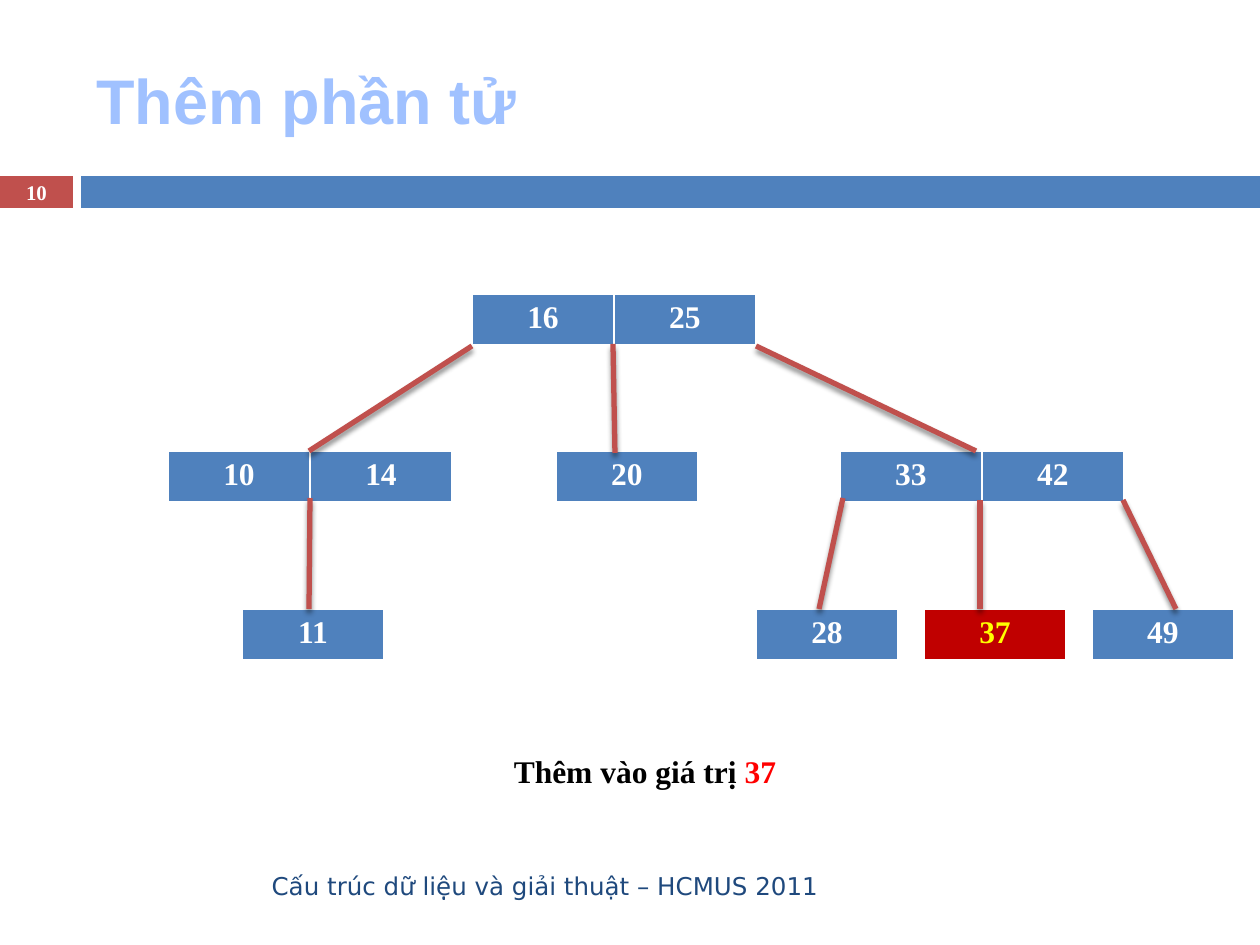
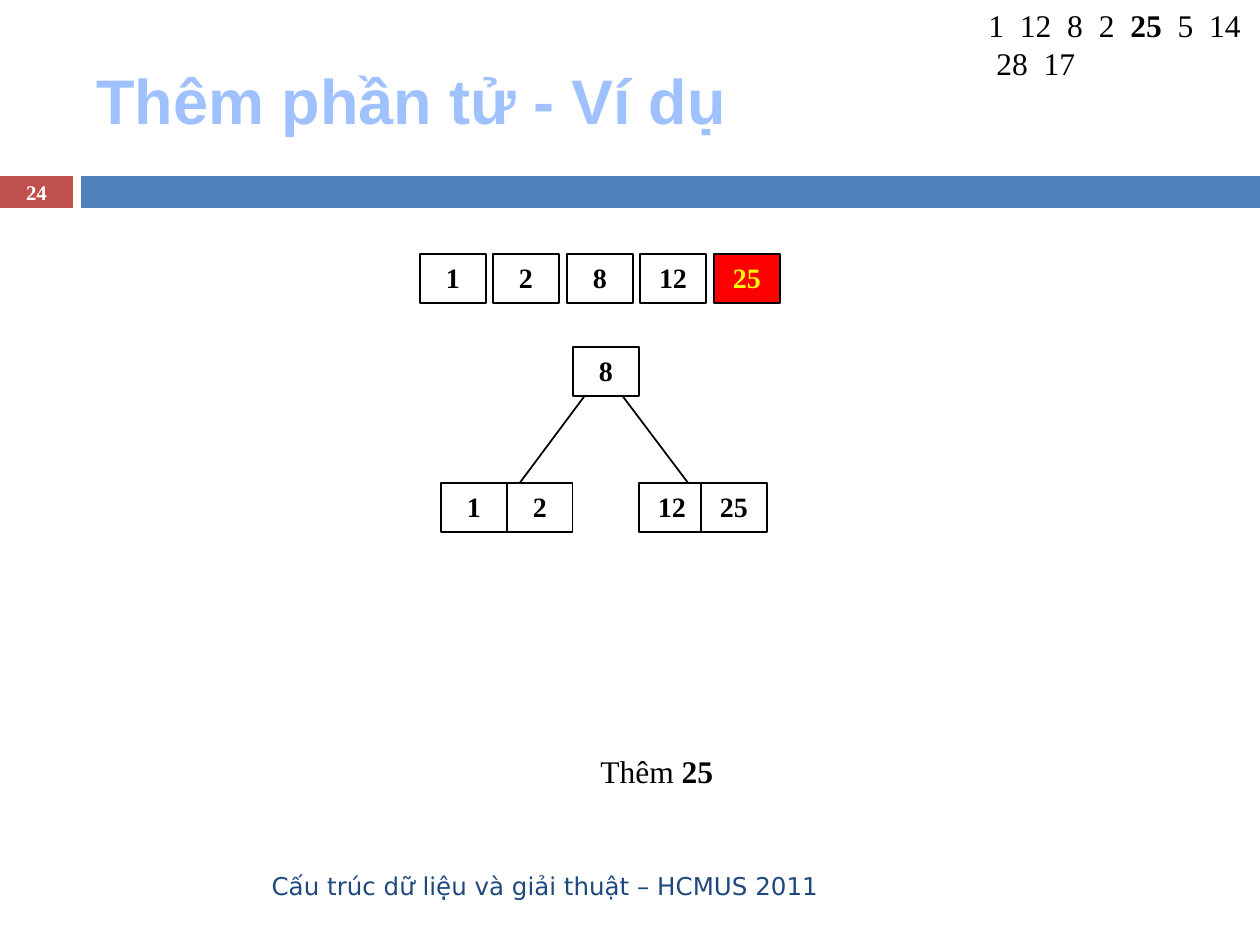
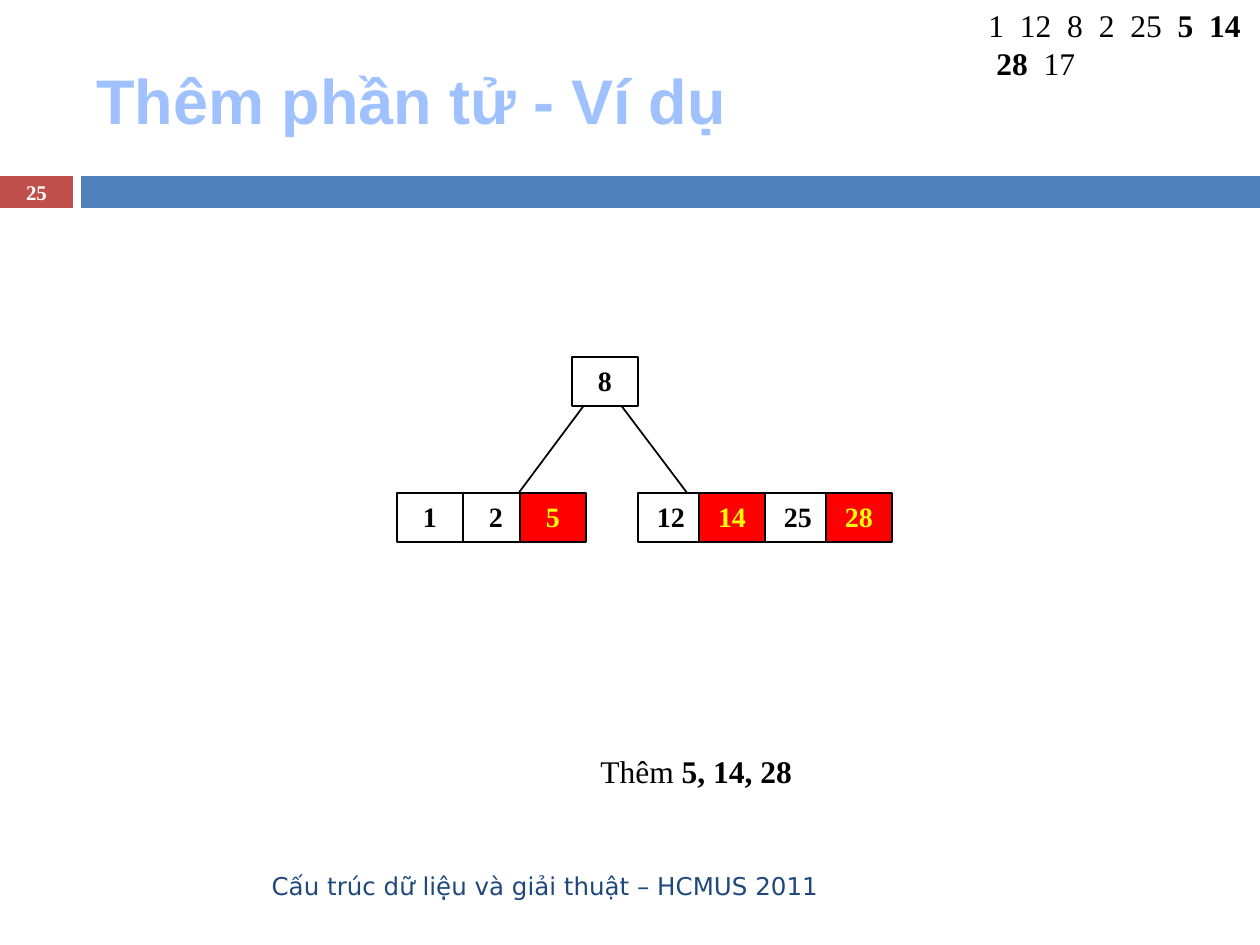
from lxml import etree
from pptx import Presentation
from pptx.dml.color import RGBColor
from pptx.enum.shapes import MSO_CONNECTOR as Connector, MSO_SHAPE as Shape
from pptx.enum.text import MSO_ANCHOR as Anchor, PP_ALIGN as Align
from pptx.oxml import parse_xml
from pptx.oxml.ns import nsdecls, qn
from pptx.util import Emu, Pt

FOOTER = "Cấu trúc dữ liệu và giải thuật – HCMUS 2011"
EXAMPLE_TITLE = "Thêm phần tử - Ví dụ"
SEQUENCE = [1, 12, 8, 2, 25, 5, 14, 28, 17]

SEARCH_TREE = {
    "nodes": [
        (472, 294, [16, 25]),
        (168, 451, [10, 14]), (556, 451, [20]), (840, 451, [33, 42]),
        (242, 609, [11]), (756, 609, [28]), (924, 609, [37]), (1092, 609, [49]),
    ],
    "added": {37},
    "edges": [
        (472, 346, 309, 451), (613, 344, 615, 453), (756, 346, 976, 451),
        (310, 498, 309, 609), (843, 498, 819, 609),
        (1123, 500, 1176, 609), (980, 500, 980, 609),
    ],
}
ROOT_EDGES = [(25, 31, -69, 157), (36, 31, 131, 157)]

SLIDES = [
    {"number": 10, "title": "Thêm phần tử", "tree": SEARCH_TREE,
     "caption": (451, 388, Align.CENTER,
                 [("Thêm vào giá trị ", "strong"), ("37", "alert")])},
    {"number": 24, "title": EXAMPLE_TITLE, "current": {25}, "root": (573, 347),
     "caption": (588, 168, Align.LEFT, [("Thêm ", "plain"), ("25", "strong")]),
     "rows": [
         (254, [420 + index * 147 // 2 for index in range(5)], [1, 2, 8, 12, 25], {25}),
         (347, [573], [8], set()),
         (483, [441, 507, 639, 701], [1, 2, 12, 25], set()),
     ]},
    {"number": 25, "title": EXAMPLE_TITLE, "current": {5, 14, 28}, "root": (572, 357),
     "caption": (588, 273, Align.LEFT, [("Thêm ", "plain"), ("5, 14, 28", "strong")]),
     "rows": [
         (357, [572], [8], set()),
         (493, [397, 463, 520, 638, 699, 765, 826], [1, 2, 5, 12, 14, 25, 28], {5, 14, 28}),
     ]},
]

SERIF = "Times New Roman"
THEME = {
    "band": "4F81BD", "accent": "C0504D", "node": "4F81BD", "node_added": "C00000",
    "box": "FFFFFF", "box_added": "FF0000", "line": "000000", "border": "FFFFFF",
    "text": {
        "title": ("Arial", 36, "A0C1FF", True),
        "footer": ("DejaVu Sans", 14, "1F497D", False),
        "number": (SERIF, 11.9, "FFFFFF", True),
        "plain": (SERIF, 18, "000000", False),
        "strong": (SERIF, 18, "000000", True),
        "alert": (SERIF, 18, "FF0000", True),
        "node": (SERIF, 18, "FFFFFF", True),
        "node_added": (SERIF, 18, "FFFF00", True),
        "box": (SERIF, 16, "000000", True),
        "box_added": (SERIF, 16, "FFFF00", True),
    },
}
CELL_WIDTH, CELL_HEIGHT = 142, 52
BOX_WIDTH, BOX_HEIGHT = 66, 49
SEQUENCE_INDENT = 8
SHADOW = (
    f'<a:effectLst {nsdecls("a")}><a:outerShdw blurRad="38100" dist="30000" '
    'dir="5400000" rotWithShape="0"><a:srgbClr val="000000">'
    '<a:alpha val="45000"/></a:srgbClr></a:outerShdw></a:effectLst>'
)


def px(value):
    return Emu(round(value * 914400 / 126))


def color(name):
    return RGBColor.from_string(THEME[name])


def write(frame, runs, align=Align.LEFT, anchor=Anchor.TOP):
    frame.word_wrap = True
    frame.vertical_anchor = anchor
    paragraph = frame.paragraphs[0]
    paragraph.alignment = align
    for text, style in runs:
        run = paragraph.add_run()
        run.text = text
        name, size, rgb, bold = THEME["text"][style]
        for key, value in {"name": name, "size": Pt(size), "bold": bold}.items():
            setattr(run.font, key, value)
        run.font.color.rgb = RGBColor.from_string(rgb)
    return paragraph


def add_text(slide, area, runs, align=Align.LEFT, anchor=Anchor.TOP):
    text_box = slide.shapes.add_textbox(*map(px, area))
    return write(text_box.text_frame, runs, align, anchor)


def add_rectangle(slide, area, fill, outline=None):
    shape = slide.shapes.add_shape(Shape.RECTANGLE, *map(px, area))
    shape.shadow.inherit = False
    shape.fill.solid()
    shape.fill.fore_color.rgb = color(fill)
    if outline:
        shape.line.color.rgb = color(outline)
        shape.line.width = Pt(0.75)
    else:
        shape.line.fill.background()
    return shape


def add_edge(slide, ends, line_color, width, shadow=False):
    edge = slide.shapes.add_connector(Connector.STRAIGHT, *map(px, ends))
    edge.line.color.rgb = color(line_color)
    edge.line.width = Pt(width)
    properties = edge._element.spPr
    if shadow:
        properties.append(parse_xml(SHADOW))
    else:
        etree.SubElement(properties, qn("a:effectLst"))


def set_borders(cell):
    properties = cell._tc.get_or_add_tcPr()
    for index, (side, width) in enumerate({"L": 1, "R": 1, "T": 1, "B": 3}.items()):
        properties.insert(index, parse_xml(
            f'<a:ln{side} {nsdecls("a")} w="{Pt(width)}"><a:solidFill>'
            f'<a:srgbClr val="{THEME["border"]}"/></a:solidFill></a:ln{side}>'))


def add_node(slide, left, top, keys, added):
    area = (left, top, CELL_WIDTH * len(keys), CELL_HEIGHT)
    table = slide.shapes.add_table(1, len(keys), *map(px, area)).table
    for index, key in enumerate(keys):
        style = "node_added" if key in added else "node"
        cell = table.cell(0, index)
        cell.fill.solid()
        cell.fill.fore_color.rgb = color(style)
        set_borders(cell)
        write(cell.text_frame, [(str(key), style)], Align.CENTER)


def add_search_tree(slide, tree):
    for left, top, keys in tree["nodes"]:
        add_node(slide, left, top, keys, tree["added"])
    for ends in tree["edges"]:
        add_edge(slide, ends, "accent", 3, shadow=True)


def add_sequence(slide, current):
    runs = []
    for value in SEQUENCE:
        runs += [(str(value), "strong" if value in current else "plain"), (" ", "plain")]
    paragraph = add_text(slide, (976, 0, 284, 89), runs[:-1])
    properties = paragraph._p.get_or_add_pPr()
    properties.set("marL", str(px(SEQUENCE_INDENT)))
    properties.set("indent", str(-px(SEQUENCE_INDENT)))
    for gap in paragraph.runs[1::2]:
        gap._r.get_or_add_rPr().set("spc", "450")


def add_box_rows(slide, root, rows):
    left, top = root
    for x1, y1, x2, y2 in ROOT_EDGES:
        add_edge(slide, (left + x1, top + y1, left + x2, top + y2), "line", 1)
    for row_top, lefts, values, added in rows:
        for box_left, value in zip(lefts, values):
            style = "box_added" if value in added else "box"
            box = add_rectangle(slide, (box_left, row_top, BOX_WIDTH, BOX_HEIGHT), style, "line")
            write(box.text_frame, [(str(value), style)], Align.CENTER)


def add_frame(slide, title, number):
    add_rectangle(slide, (0, 176, 73, 32), "accent")
    add_rectangle(slide, (81, 176, 1179, 32), "band")
    add_text(slide, (84, 31, 1124, 136), [(title, "title")], anchor=Anchor.MIDDLE)
    add_text(slide, (84, 861, 747, 50), [(FOOTER, "footer")], Align.RIGHT, Anchor.MIDDLE)
    add_text(slide, (0, 175, 73, 34), [(str(number), "number")], Align.CENTER, Anchor.MIDDLE)


def main():
    presentation = Presentation()
    presentation.slide_width, presentation.slide_height = px(1260), px(945)
    for content in SLIDES:
        slide = presentation.slides.add_slide(presentation.slide_layouts[6])
        add_frame(slide, content["title"], content["number"])
        if "tree" in content:
            add_search_tree(slide, content["tree"])
        else:
            add_sequence(slide, content["current"])
            add_box_rows(slide, content["root"], content["rows"])
        left, width, align, runs = content["caption"]
        add_text(slide, (left, 746, width, 50), runs, align)
    presentation.save("out.pptx")


if __name__ == "__main__":
    main()
